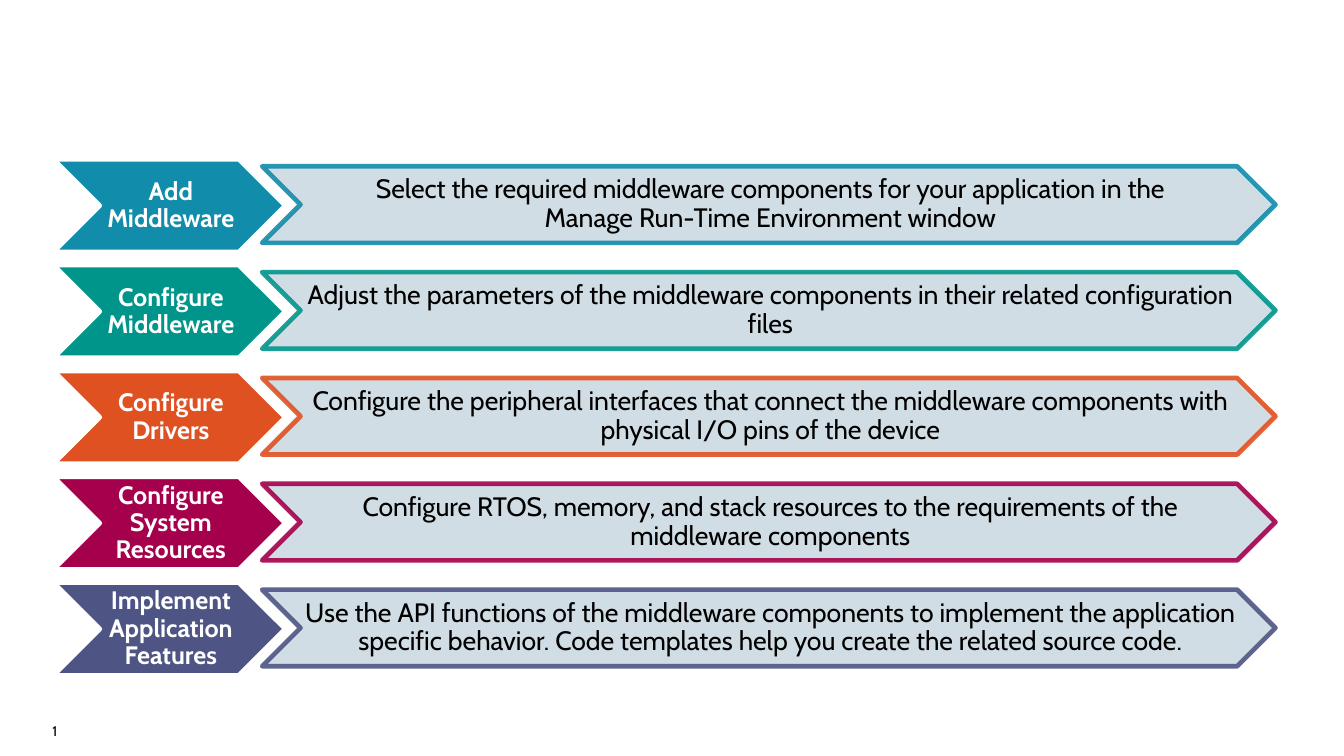
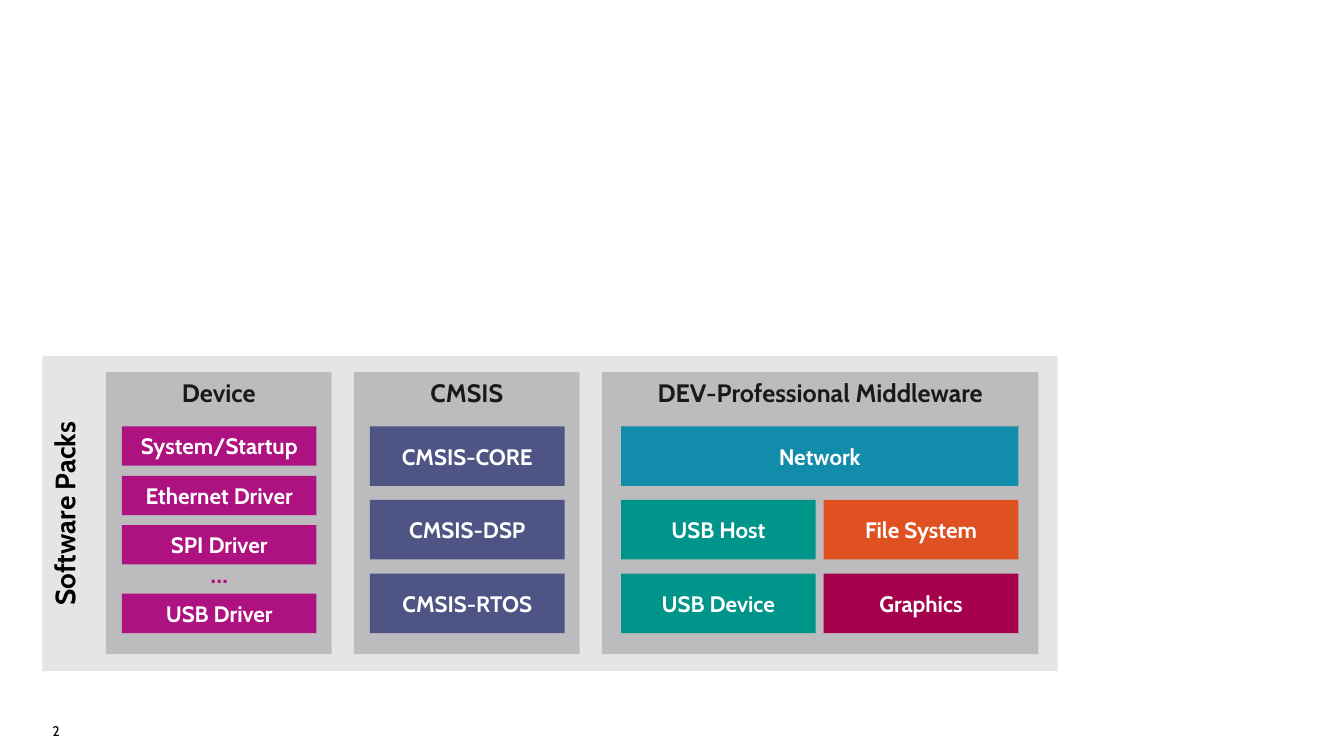
import dataclasses

import lxml.etree
import pptx
import pptx.dml.color
import pptx.enum.shapes
import pptx.enum.text
import pptx.oxml.ns
import pptx.util

Inches = pptx.util.Inches
SHAPE = pptx.enum.shapes.MSO_SHAPE
ANCHOR = pptx.enum.text.MSO_ANCHOR
ALIGN = pptx.enum.text.PP_ALIGN
qn = pptx.oxml.ns.qn


@dataclasses.dataclass(frozen=True)
class Theme:
    font: str = "Cabin"
    black: str = "000000"
    white: str = "FFFFFF"
    blue: str = "128CAB"
    teal: str = "00958B"
    orange: str = "E05122"
    crimson: str = "A5004C"
    indigo: str = "4E5584"
    magenta: str = "AE1280"
    pale: str = "CCDAE2"
    grey: str = "808082"
    number_size: float = 10
    box_size: float = 16
    head_size: float = 18
    detail_size: float = 19
    pack_size: float = 20
    outline: float = 3.35


T = Theme()

STEPS = [
    ("Add Middleware", T.blue,
     "Select the required middleware components for your application in the\n"
     "Manage Run-Time Environment window"),
    ("Configure Middleware", T.teal,
     "Adjust the parameters of the middleware components in their related configuration files"),
    ("Configure Drivers", T.orange,
     "Configure the peripheral interfaces that connect the middleware components with "
     "physical I/O pins of the device"),
    ("Configure System Resources", T.crimson,
     "Configure RTOS, memory, and stack resources to the requirements of the "
     "middleware components"),
    ("Implement Application Features", T.indigo,
     "Use the API functions of the middleware components to implement the application "
     "specific behavior. Code templates help you create the related source code."),
]
STEP_TOP, STEP_PITCH = 1.58, 1.05
STEP_INSETS = (0.03, 0.01, 0, 0.01)

PANEL_TOP, PANEL_HEIGHT = 3.69, 2.8
PANELS = [("Device", 1.05, 2.24), ("CMSIS", 3.51, 2.24),
          ("DEV-Professional Middleware", 5.97, 4.33)]
BOX_TOP, BOX_WIDTH = 4.23, 1.93
DRIVER_LEFT, DRIVER_HEIGHT, DRIVER_PITCH = 1.21, 0.39, 0.49
CMSIS_LEFT, BLOCK_HEIGHT, BLOCK_PITCH = 3.67, 0.59, 0.73
MIDDLEWARE_LEFT, MIDDLEWARE_PITCH = 6.16, 2.01


def rgb(color):
    return pptx.dml.color.RGBColor.from_string(color)


def paint(fill, color, alpha=100):
    fill.solid()
    fill.fore_color.rgb = rgb(color)
    if alpha < 100:
        for clr in fill._xPr.iter(qn("a:srgbClr")):
            if clr.getparent().getparent() is fill._xPr:
                lxml.etree.SubElement(clr, qn("a:alpha"), val=str(alpha * 1000))


def set_font(font, size, color, bold):
    formats = {"name": T.font, "size": pptx.util.Pt(size), "bold": bold}
    for name, value in formats.items():
        setattr(font, name, value)
    font.color.rgb = rgb(color)


def write(sp, text, size, color, bold=True, anchor=ANCHOR.MIDDLE,
          insets=(0.1, 0.05, 0.1, 0.05), spacing=1.0):
    tf = sp.text_frame
    formats = {"word_wrap": True, "vertical_anchor": anchor}
    for side, inset in zip(("left", "top", "right", "bottom"), insets):
        formats["margin_" + side] = Inches(inset)
    for name, value in formats.items():
        setattr(tf, name, value)
    p = tf.paragraphs[0]
    p.text = text
    p.alignment = ALIGN.CENTER
    p.line_spacing = spacing
    for r in p.runs:
        set_font(r.font, size, color, bold)


def add_shape(s, kind, at, fill, alpha=100, line=None):
    sp = s.shapes.add_shape(kind, *map(Inches, at))
    sp.shadow.inherit = False
    paint(sp.fill, fill, alpha)
    if line:
        paint(sp.line.fill, line, alpha)
        sp.line.width = pptx.util.Pt(T.outline)
    else:
        sp.line.fill.background()
    return sp


def add_box(s, text, at, fill):
    write(add_shape(s, SHAPE.RECTANGLE, at, fill), text, T.box_size, T.white)


def add_panel(s, text, at, alpha, size):
    sp = add_shape(s, SHAPE.RECTANGLE, at, T.grey, alpha)
    write(sp, text, size, T.black, anchor=ANCHOR.TOP)
    return sp


def add_step(s, top, label, color, detail):
    sp = add_shape(s, SHAPE.CHEVRON, (0.53, top, 2.3, 0.92), color, line=T.white)
    write(sp, label, T.head_size, T.white, insets=STEP_INSETS, spacing=0.9)
    sp = add_shape(s, SHAPE.CHEVRON, (2.6, top + 0.07, 10.05, 0.76), T.pale, 90, color)
    write(sp, detail, T.detail_size, T.black, False, insets=STEP_INSETS, spacing=0.9)


def add_slide(prs):
    s = prs.slides.add_slide(prs.slide_layouts[6])
    sp = s.shapes.add_textbox(*map(Inches, (0.52, 7.17, 1.43, 0.26)))
    write(sp, str(len(prs.slides)), T.number_size, T.black, False, ANCHOR.TOP, (0, 0, 0.1, 0))
    p = sp.text_frame.paragraphs[0]
    p.alignment = ALIGN.LEFT
    r = p.runs[0]._r
    r.tag = qn("a:fld")
    r.set("id", "{B6F15528-21DE-4FAA-801E-634DDDAF4B2B}")
    r.set("type", "slidenum")
    return s


def build_steps(prs):
    s = add_slide(prs)
    for i, step in enumerate(STEPS):
        add_step(s, STEP_TOP + i * STEP_PITCH, *step)


def build_packs(prs):
    s = add_slide(prs)
    for text, left, width in PANELS:
        add_panel(s, text, (left, PANEL_TOP, width, PANEL_HEIGHT), 40, T.head_size)
    sp = add_panel(s, "Software Packs", (0.42, 3.53, 10.07, 3.13), 20, T.pack_size)
    sp.text_frame._txBody.bodyPr.set("vert", "vert270")

    for i, text in enumerate(("System/Startup", "Ethernet Driver", "SPI Driver")):
        at = (DRIVER_LEFT, BOX_TOP + i * DRIVER_PITCH, BOX_WIDTH, DRIVER_HEIGHT)
        add_box(s, text, at, T.magenta)
    add_box(s, "USB Driver", (DRIVER_LEFT, 5.89, BOX_WIDTH, DRIVER_HEIGHT), T.magenta)
    sp = s.shapes.add_textbox(*map(Inches, (DRIVER_LEFT, 5.44, BOX_WIDTH, 0.5)))
    write(sp, "…", T.head_size, T.magenta, insets=(0, 0, 0, 0))

    for row, text in enumerate(("CMSIS-CORE", "CMSIS-DSP", "CMSIS-RTOS")):
        at = (CMSIS_LEFT, BOX_TOP + row * BLOCK_PITCH, BOX_WIDTH, BLOCK_HEIGHT)
        add_box(s, text, at, T.indigo)

    for text, row, col, span, color in (
        ("Network", 0, 0, 2, T.blue),
        ("USB Host", 1, 0, 1, T.teal),
        ("File System", 1, 1, 1, T.orange),
        ("USB Device", 2, 0, 1, T.teal),
        ("Graphics", 2, 1, 1, T.crimson),
    ):
        width = BOX_WIDTH + (span - 1) * MIDDLEWARE_PITCH
        left = MIDDLEWARE_LEFT + col * MIDDLEWARE_PITCH
        add_box(s, text, (left, BOX_TOP + row * BLOCK_PITCH, width, BLOCK_HEIGHT), color)


def main():
    prs = pptx.Presentation()
    prs.slide_width, prs.slide_height = Inches(13.33), Inches(7.5)
    build_steps(prs)
    build_packs(prs)
    prs.save("out.pptx")


if __name__ == "__main__":
    main()
